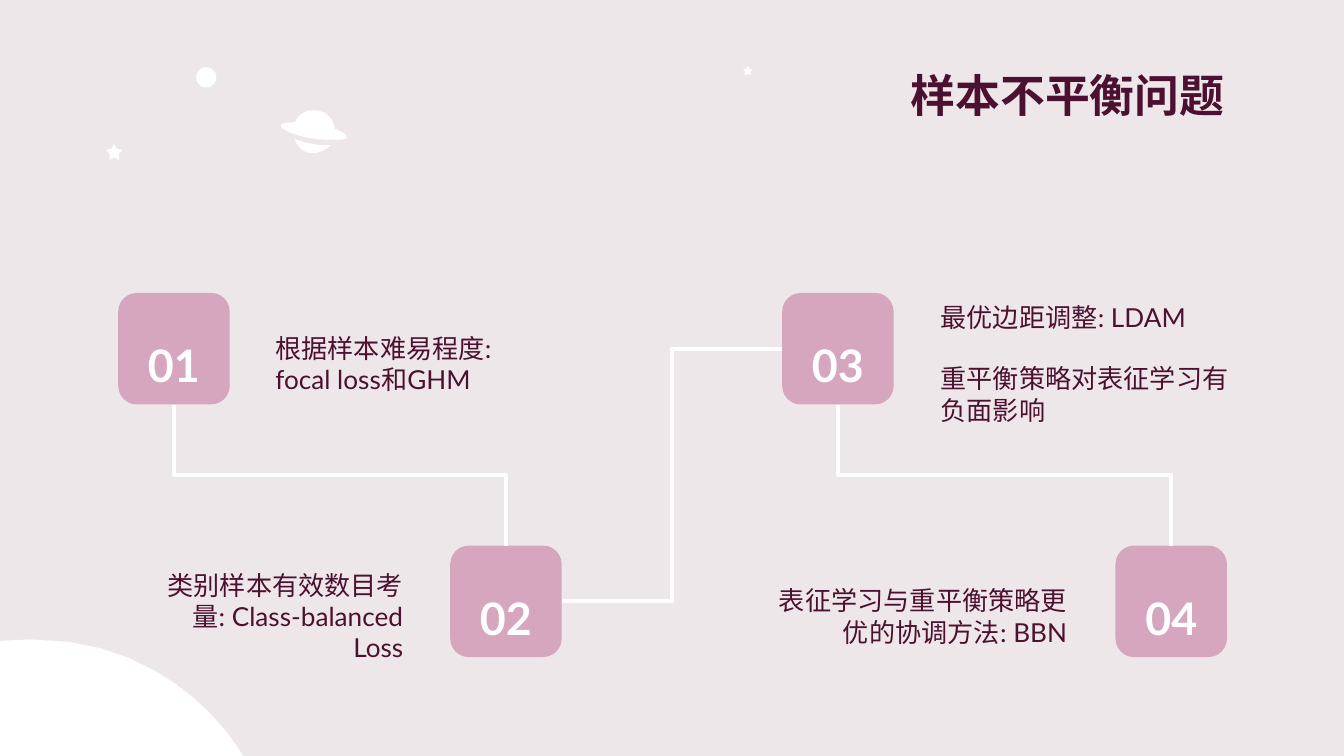
from lxml import etree
from pptx import Presentation
from pptx import util as u
from pptx.dml.color import RGBColor
from pptx.enum import shapes, text
from pptx.oxml import ns

PX = u.Inches(1) // 100
BACK = RGBColor(0xEE, 0xE7, 0xEA)
WHITE = RGBColor(0xFF, 0xFF, 0xFF)
PLUM = RGBColor(0x4C, 0x11, 0x30)
PINK = RGBColor(0xD5, 0xA6, 0xBD)
FONT = "Lato"
LEFT, MID, RIGHT = text.PP_ALIGN.LEFT, text.PP_ALIGN.CENTER, text.PP_ALIGN.RIGHT

TILE = 83
STEPS = [
    ("01", 88, 218, 195, 205, LEFT, ["根据样本难易程度: focal loss和GHM"]),
    ("02", 335, 406, 96, 214, RIGHT, ["类别样本有效数目考量: Class-balanced Loss"]),
    ("03", 582, 218, 690, 247, LEFT, ["最优边距调整: LDAM", "重平衡策略对表征学习有负面影响"]),
    ("04", 830, 406, 568, 236, RIGHT, ["表征学习与重平衡策略更优的协调方法: BBN"]),
]
STARS = [(79, 107, 12), (553, 49, 7)]
PLANET = [
    [(219, 103), (226, 106, 232, 107), (237, 108, 241, 108, 246, 108),
     (243, 111, 238, 114, 233, 114), (226, 114, 221, 109, 219, 103)],
    [(233, 82), (227, 82, 221, 86, 219, 92), (225, 92, 230, 92, 234, 93),
     (240, 94, 245, 96, 249, 97), (249, 90, 244, 82, 233, 82)],
    [(219, 91), (213, 91, 209, 92, 209, 93), (208, 96, 219, 101, 232, 103),
     (238, 104, 243, 104, 248, 104), (254, 104, 258, 104, 258, 102),
     (259, 99, 248, 95, 234, 92), (229, 91, 223, 91, 219, 91)],
]
HILL = [(25, 476), (135, 476, 181, 563, 181, 563), (-24, 563), (-24, 480),
        (-4, 477, 11, 476, 25, 476)]


def paint(shape, color):
    shape.shadow.inherit = False
    shape.fill.solid()
    shape.fill.fore_color.rgb = color
    shape.line.fill.background()


def form(slide, kind, x, y, w, h, color, adj=None):
    shape = slide.shapes.add_shape(kind, x * PX, y * PX, w * PX, h * PX)
    if adj is not None:
        shape.adjustments[0] = adj
    paint(shape, color)


def trace(nodes):
    spots = [nodes[0]]
    for node in nodes[1:]:
        ends = [spots[-1]] + list(zip(node[::2], node[1::2]))
        if len(ends) == 2:
            spots.append(ends[1])
            continue
        if len(ends) == 3:
            a, b, c = ends
            ends = [a, b, b, c]
        for step in range(1, 13):
            t = step / 12
            parts = ((1 - t) ** 3, 3 * t * (1 - t) ** 2, 3 * t * t * (1 - t), t ** 3)
            spots.append(tuple(sum(k * p[i] for k, p in zip(parts, ends)) for i in (0, 1)))
    return [(round(x * PX), round(y * PX)) for x, y in spots]


def blob(slide, nodes, color):
    spots = trace(nodes)
    path = slide.shapes.build_freeform(*spots[0], scale=1.0)
    path.add_line_segments(spots[1:], close=True)
    paint(path.convert_to_shape(), color)


def write(frame, lines, size=14, color=PLUM, bold=False, align=LEFT, after=16, top=22, base=0):
    frame.word_wrap = True
    frame.auto_size = text.MSO_AUTO_SIZE.NONE
    frame.vertical_anchor = text.MSO_ANCHOR.MIDDLE
    frame.margin_left = frame.margin_right = 10 * PX
    frame.margin_top, frame.margin_bottom = top * PX, base * PX
    for i, line in enumerate(lines):
        para = frame.paragraphs[0] if i == 0 else frame.add_paragraph()
        para.alignment = align
        para.space_before, para.space_after = u.Pt(0), u.Pt(after)
        run = para.add_run()
        run.text = line
        run.font.name, run.font.size, run.font.bold = FONT, u.Pt(size), bold
        run.font.color.rgb = color


def label(slide, x, y, w, h, lines, **style):
    box = slide.shapes.add_textbox(x * PX, y * PX, w * PX, h * PX)
    write(box.text_frame, lines, **style)


def elbow(slide, x1, y1, x2, y2, down=False):
    if down:
        cx, cy = (x1 + x2) / 2, (y1 + y2) / 2
        dx, dy = (y2 - y1) / 2, (x2 - x1) / 2
        x1, y1, x2, y2 = cx + dx, cy - dy, cx - dx, cy + dy
    ends = [round(v * PX) for v in (x1, y1, x2, y2)]
    line = slide.shapes.add_connector(shapes.MSO_CONNECTOR.ELBOW, *ends)
    line.line.color.rgb = WHITE
    line.line.width = u.Pt(2.25)
    props = line._element.spPr
    etree.SubElement(props, ns.qn("a:effectLst"))
    if down:
        props.find(ns.qn("a:xfrm")).set("rot", str(270 * 60000))


def sky(slide):
    for x, y, size in STARS:
        form(slide, shapes.MSO_SHAPE.STAR_5_POINT, x, y, size, size, WHITE, adj=0.27)
    form(slide, shapes.MSO_SHAPE.OVAL, 146, 50, 15, 15, WHITE)
    for part in PLANET + [HILL]:
        blob(slide, part, WHITE)


def head(slide, words):
    title = slide.shapes.title
    title.left, title.top, title.width, title.height = (v * PX for v in (81, 39, 840, 63))
    write(title.text_frame, [words], size=24, bold=True, align=RIGHT, after=0, top=10, base=10)


def main():
    deck = Presentation()
    deck.slide_width = 1000 * PX
    deck.slide_height = deck.slide_width * 9 // 16
    slide = deck.slides.add_slide(deck.slide_layouts[5])
    slide.background.fill.solid()
    slide.background.fill.fore_color.rgb = BACK
    sky(slide)
    head(slide, "样本不平衡问题")
    for num, x, y, left, width, align, lines in STEPS:
        form(slide, shapes.MSO_SHAPE.ROUNDED_RECTANGLE, x, y, TILE, TILE, PINK, adj=0.167)
        label(slide, x + 5, y + 11, 73, 63, [num], size=24, color=WHITE, bold=True, align=MID)
        label(slide, left, y, width, TILE, lines, align=align)
    half = TILE / 2
    for (_, x1, y1, *_), (_, x2, y2, *_) in zip(STEPS, STEPS[1:]):
        if y2 > y1:
            elbow(slide, x1 + half, y1 + TILE, x2 + half, y2, down=True)
        else:
            elbow(slide, x1 + TILE, y1 + half, x2, y2 + half)
    deck.save("out.pptx")


if __name__ == "__main__":
    main()
